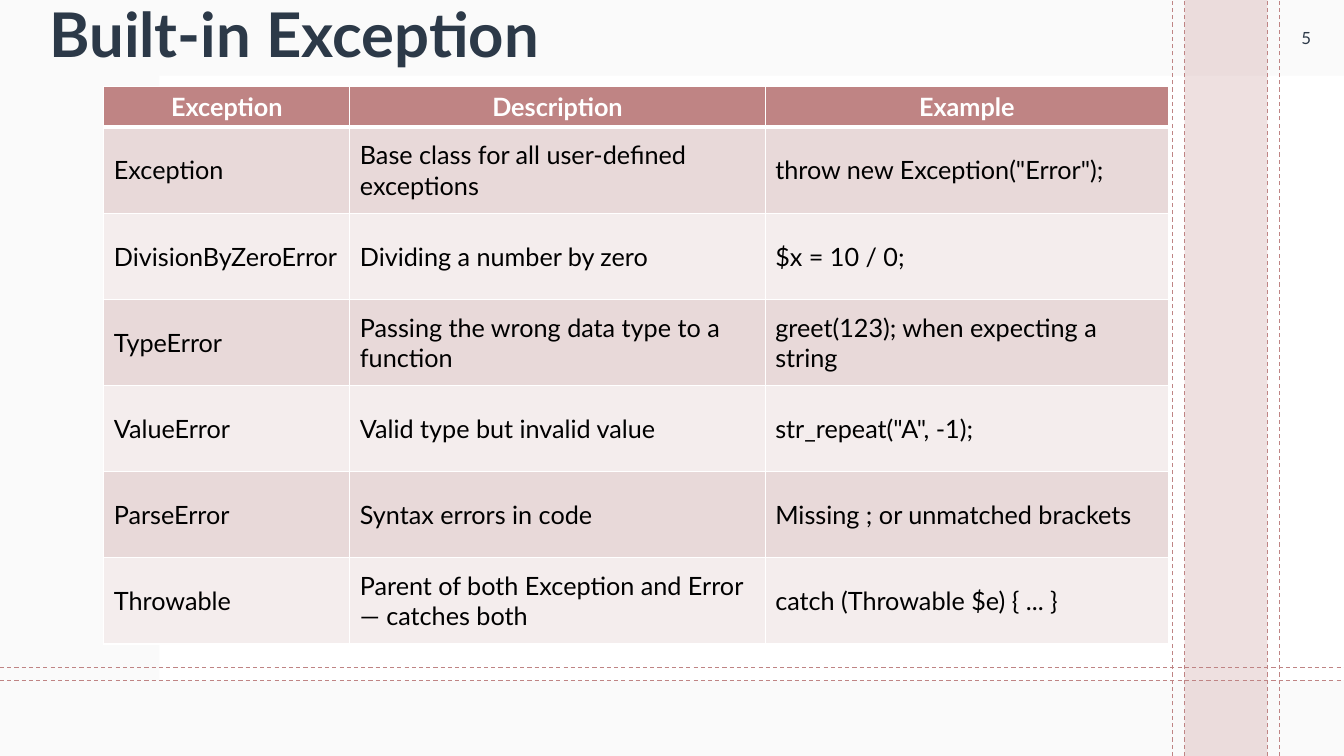
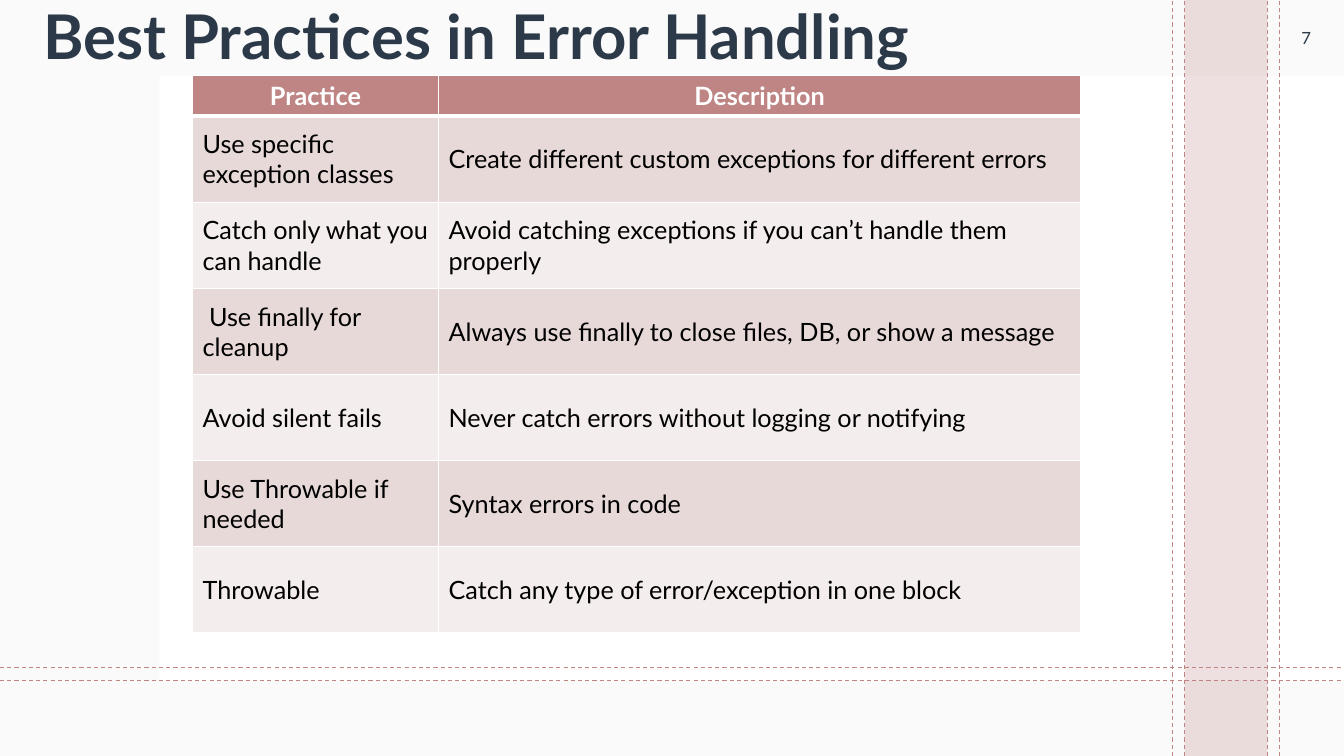
from lxml import etree
from pptx import Presentation
from pptx.dml.color import RGBColor
from pptx.enum import dml, shapes, text
from pptx.oxml import ns
from pptx.util import Inches, Pt

FONT = "Lato"
WHITE = RGBColor(0xFF, 0xFF, 0xFF)
BLACK = RGBColor(0, 0, 0)
NAVY = RGBColor(0x2C, 0x39, 0x48)
ROSE = RGBColor(0xBF, 0x84, 0x84)
MIST = RGBColor(0xF4, 0xF4, 0xF4)
ROW_FILLS = [RGBColor(0xE8, 0xD9, 0xD9), RGBColor(0xF4, 0xED, 0xED)]

WIDTH, HEIGHT = 13.33, 7.5
TABLE_HEIGHT, HEADER_HEIGHT = 5.52, 0.39
GUIDES_X = [12.57, 12.69, 11.75, 11.63]
GUIDES_Y = [6.75, 6.62]

SLIDES = [
    {
        "title": "Built-in Exception", "title_at": (0.39, -0.35), "number": "5",
        "table_at": (1.03, 0.86), "columns": [2.44, 4.12, 4],
        "rows": [
            ("Exception", "Description", "Example"),
            ("Exception", "Base class for all user-defined exceptions",
             'throw new Exception("Error");'),
            ("DivisionByZeroError", "Dividing a number by zero", "$x = 10 / 0;"),
            ("TypeError", "Passing the wrong data type to a function",
             "greet(123); when expecting a string"),
            ("ValueError", "Valid type but invalid value", 'str_repeat("A", -1);'),
            ("ParseError", "Syntax errors in code", "Missing ; or unmatched brackets"),
            ("Throwable", "Parent of both Exception and Error — catches both",
             "catch (Throwable $e) { ... }"),
        ],
    },
    {
        "title": "Best Practices in Error Handling", "title_at": (0.33, -0.33), "number": "7",
        "table_at": (1.91, 0.75), "columns": [2.44, 6.37],
        "rows": [
            ("Practice", "Description"),
            ("Use specific exception classes",
             "Create different custom exceptions for different errors"),
            ("Catch only what you can handle",
             "Avoid catching exceptions if you can’t handle them properly"),
            (" Use finally for cleanup",
             "Always use finally to close files, DB, or show a message"),
            ("Avoid silent fails", "Never catch errors without logging or notifying"),
            ("Use Throwable if needed", "Syntax errors in code"),
            ("Throwable", "Catch any type of error/exception in one block"),
        ],
    },
]


def add_panel(page, left, top, width, height, color, opacity=100):
    panel = page.shapes.add_shape(shapes.MSO_SHAPE.RECTANGLE, Inches(left), Inches(top),
                                  Inches(width), Inches(height))
    panel.shadow.inherit = False
    panel.line.fill.background()
    panel.fill.solid()
    panel.fill.fore_color.rgb = color
    if opacity < 100:
        solid = panel.element.spPr.find(ns.qn("a:solidFill"))
        etree.SubElement(solid[0], ns.qn("a:alpha"), val=str(opacity * 1000))


def add_guide(page, x1, y1, x2, y2):
    guide = page.shapes.add_connector(shapes.MSO_CONNECTOR.STRAIGHT, Inches(x1), Inches(y1),
                                      Inches(x2), Inches(y2))
    guide.line.color.rgb = ROSE
    guide.line.width = Pt(0.75)
    guide.line.dash_style = dml.MSO_LINE.DASH
    etree.SubElement(guide.element.spPr, ns.qn("a:effectLst"))


def style(para, size, color, bold=False, align=text.PP_ALIGN.LEFT):
    para.alignment = align
    para.font.name = FONT
    para.font.size = Pt(size)
    para.font.bold = bold
    para.font.color.rgb = color


def add_text(page, words, left, top, width, height, size, **look):
    box = page.shapes.add_textbox(Inches(left), Inches(top), Inches(width), Inches(height))
    frame = box.text_frame
    frame.word_wrap = True
    frame.vertical_anchor = text.MSO_ANCHOR.MIDDLE
    para = frame.paragraphs[0]
    para.text = words
    style(para, size, NAVY, **look)
    return para


def add_backdrop(page):
    add_panel(page, 0, 0, WIDTH, HEIGHT, MIST, 45)
    add_panel(page, 1.58, 0.75, 11.75, 6, WHITE)
    add_panel(page, 11.75, 0, 0.82, HEIGHT, ROSE, 25)
    for x in GUIDES_X:
        add_guide(page, x, HEIGHT, x, 0)
    for y in GUIDES_Y:
        add_guide(page, 0, y, WIDTH, y)


def set_borders(cell, top, bottom):
    props = cell._tc.get_or_add_tcPr()
    for side, points in (("L", 1), ("R", 1), ("T", top), ("B", bottom)):
        edge = etree.SubElement(props, ns.qn(f"a:ln{side}"), w=str(Pt(points)))
        solid = etree.SubElement(edge, ns.qn("a:solidFill"))
        etree.SubElement(solid, ns.qn("a:srgbClr"), val=str(WHITE))


def add_grid(page, rows, columns, left, top):
    frame = page.shapes.add_table(len(rows), len(columns), Inches(left), Inches(top),
                                  Inches(sum(columns)), Inches(TABLE_HEIGHT))
    table = frame.table
    for column, width in zip(table.columns, columns):
        column.width = Inches(width)
    body_height = (TABLE_HEIGHT - HEADER_HEIGHT) / (len(rows) - 1)
    for r, row in enumerate(rows):
        header = r == 0
        table.rows[r].height = Inches(HEADER_HEIGHT if header else body_height)
        for c, words in enumerate(row):
            cell = table.cell(r, c)
            # Thick rule between header and body
            set_borders(cell, top=3 if r == 1 else 1, bottom=3 if header else 1)
            cell.fill.solid()
            cell.fill.fore_color.rgb = ROSE if header else ROW_FILLS[(r - 1) % 2]
            cell.vertical_anchor = text.MSO_ANCHOR.MIDDLE
            cell.text = words
            style(cell.text_frame.paragraphs[0], 18, WHITE if header else BLACK, header,
                  text.PP_ALIGN.CENTER if header else text.PP_ALIGN.LEFT)


def main():
    deck = Presentation()
    deck.slide_width, deck.slide_height = Inches(WIDTH), Inches(HEIGHT)
    for content in SLIDES:
        page = deck.slides.add_slide(deck.slide_layouts[6])
        add_backdrop(page)
        title = add_text(page, content["title"], *content["title_at"], 10.64, 1.45, 44, bold=True)
        title.line_spacing = 0.9
        add_text(page, content["number"], 12.58, 0, 0.75, 0.75, 12, align=text.PP_ALIGN.CENTER)
        add_grid(page, content["rows"], content["columns"], *content["table_at"])
    deck.save("out.pptx")


if __name__ == "__main__":
    main()
